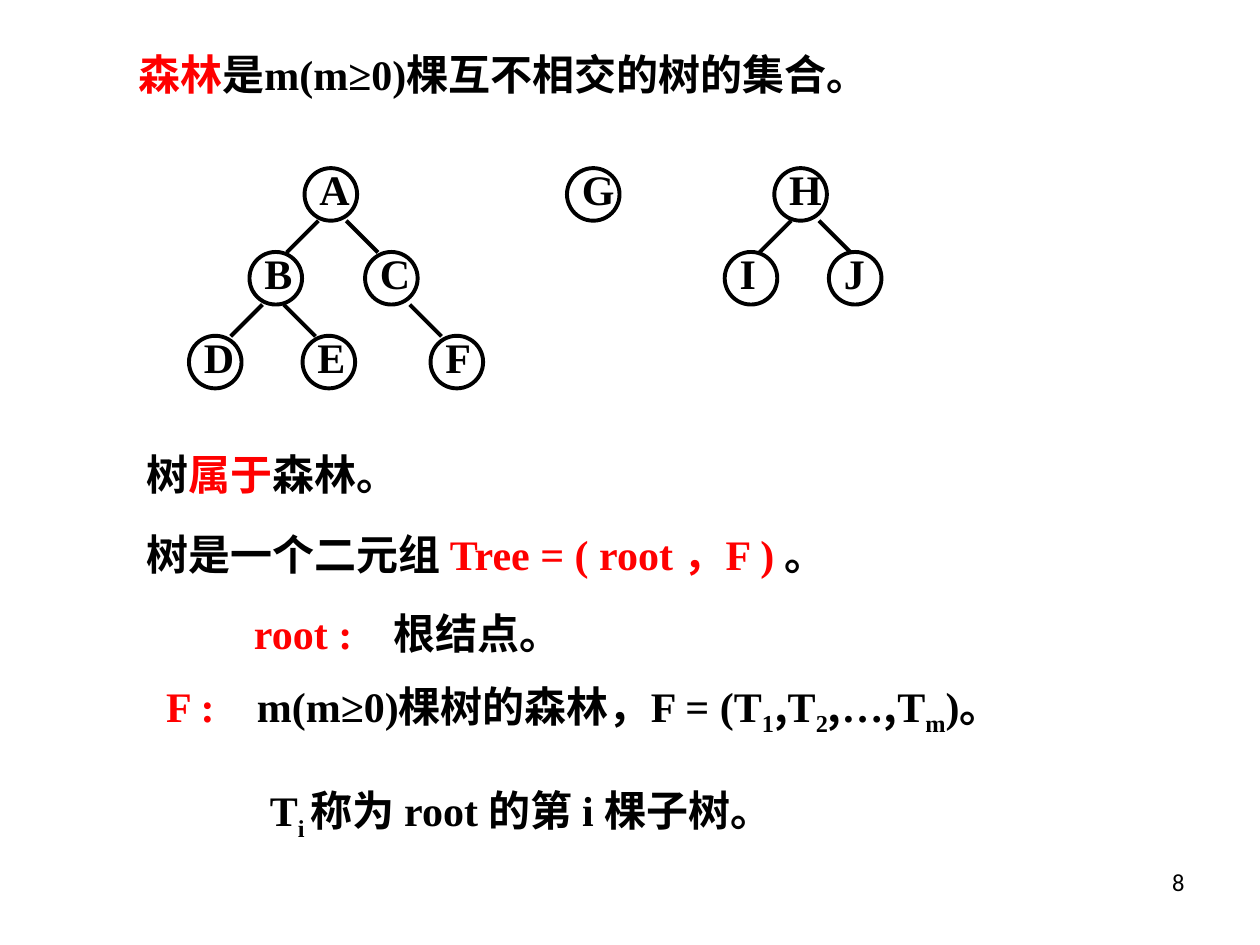
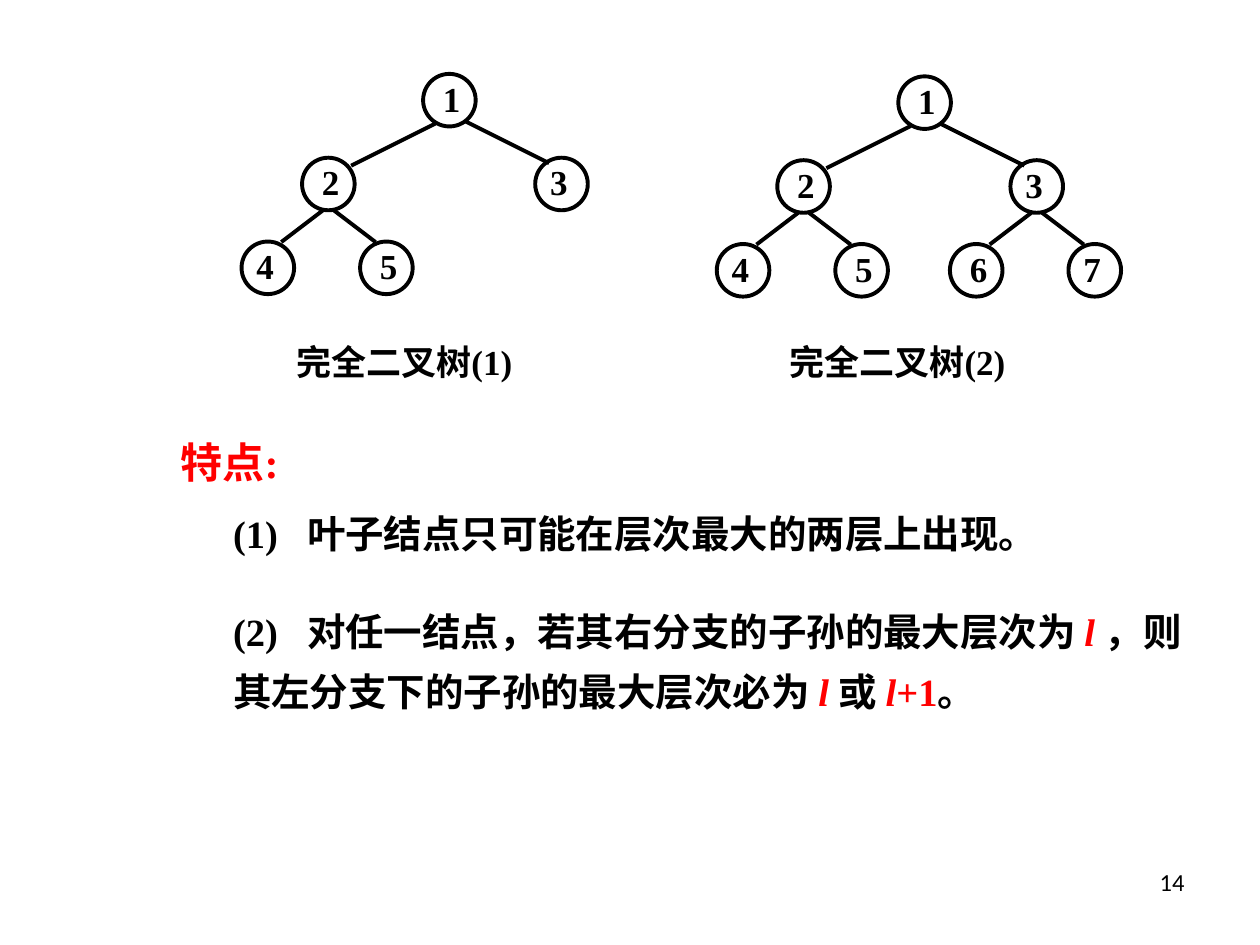
from dataclasses import dataclass, field
from typing import Optional

from lxml.etree import SubElement
from pptx import Presentation
from pptx.dml.color import RGBColor
from pptx.enum.shapes import MSO_CONNECTOR, MSO_SHAPE
from pptx.enum.text import MSO_AUTO_SIZE, PP_ALIGN
from pptx.oxml.ns import qn
from pptx.slide import Slide
from pptx.util import Cm, Pt


@dataclass(frozen=True)
class Theme:
    ink: RGBColor = RGBColor(0, 0, 0)
    accent: RGBColor = RGBColor(255, 0, 0)
    paper: RGBColor = RGBColor(255, 255, 255)
    serif: str = "Times New Roman"
    chinese: str = "Noto Sans CJK SC"
    footer: str = "Calibri"
    body_size: float = 24
    point_size: float = 22
    label_size: float = 20
    footer_size: float = 14
    stroke: float = 2.25


THEME = Theme()
CIRCLE = 1.06  # all plain lengths are centimetres
LEVEL = 1.69


@dataclass(frozen=True)
class Run:
    text: str
    color: RGBColor = THEME.ink
    italic: bool = False
    subscript: bool = False
    font: str = THEME.serif
    bold: bool = True


@dataclass(frozen=True)
class TextLine:
    left: float
    top: float
    width: float
    height: float
    runs: list[Run]
    size: float = THEME.body_size
    align: PP_ALIGN = PP_ALIGN.LEFT
    line_spacing: Optional[float] = None
    tab: Optional[float] = None
    grow: bool = True


@dataclass(frozen=True)
class Node:
    label: str
    left: float
    level: int
    nudge: float = 0


@dataclass(frozen=True)
class Edge:
    left: float
    top: float
    across: float
    down: float


@dataclass(frozen=True)
class Tree:
    """Nodes and edges placed relative to left and top."""
    left: float
    top: float
    nodes: list[Node]
    edges: list[Edge]
    size: float
    label_rise: float
    label_height: float


@dataclass(frozen=True)
class Page:
    number: int
    trees: list[Tree]
    lines: list[TextLine] = field(default_factory=list)


def red(text: str, italic: bool = False) -> Run:
    return Run(text, THEME.accent, italic)


def sub(text: str) -> Run:
    return Run(text, subscript=True)


def add_text(slide: Slide, line: TextLine) -> None:
    box = slide.shapes.add_textbox(Cm(line.left), Cm(line.top), Cm(line.width), Cm(line.height))
    frame = box.text_frame
    frame.word_wrap = True
    frame.auto_size = MSO_AUTO_SIZE.SHAPE_TO_FIT_TEXT if line.grow else MSO_AUTO_SIZE.NONE
    paragraph = frame.paragraphs[0]
    paragraph.alignment = line.align
    if line.line_spacing:
        paragraph.line_spacing = line.line_spacing
    if line.tab:
        tabs = SubElement(paragraph._p.get_or_add_pPr(), qn("a:tabLst"))
        SubElement(tabs, qn("a:tab"), pos=str(Cm(line.tab)), algn="l")
    for part in line.runs:
        run = paragraph.add_run()
        run.text = part.text
        font = run.font
        font.name, font.size = part.font, Pt(line.size)
        font.bold, font.italic = part.bold, part.italic
        font.color.rgb = part.color
        properties = run._r.get_or_add_rPr()
        SubElement(properties, qn("a:ea"), typeface=THEME.chinese)
        if part.subscript:
            properties.set("baseline", "-25000")


def add_node(slide: Slide, tree: Tree, node: Node) -> None:
    left, top = tree.left + node.left, tree.top + node.level * LEVEL
    circle = slide.shapes.add_shape(MSO_SHAPE.OVAL, Cm(left), Cm(top), Cm(CIRCLE), Cm(CIRCLE))
    circle.shadow.inherit = False
    circle.fill.background()
    circle.line.color.rgb = THEME.ink
    circle.line.width = Pt(THEME.stroke)
    add_text(slide, TextLine(left + 0.05 + node.nudge, top - tree.label_rise, 1.48,
                             tree.label_height, [Run(node.label)], tree.size))


def add_edge(slide: Slide, tree: Tree, edge: Edge) -> None:
    left, top = tree.left + edge.left, tree.top + edge.top
    line = slide.shapes.add_connector(MSO_CONNECTOR.STRAIGHT, Cm(left), Cm(top),
                                      Cm(left + edge.across), Cm(top + edge.down))
    line.line.color.rgb = THEME.ink
    line.line.width = Pt(THEME.stroke)
    SubElement(line._element.spPr, qn("a:effectLst"))


def forest() -> Tree:
    nodes = [
        Node("A", 6.14, 0), Node("B", 5.03, 1), Node("C", 7.36, 1),
        Node("D", 3.81, 2), Node("E", 6.1, 2), Node("F", 8.68, 2),
        Node("G", 11.43, 0),
        Node("H", 15.61, 0), Node("I", 14.61, 1), Node("J", 16.71, 1),
    ]
    # start of the branch, level of the parent, side of the child
    branches = [
        (6.42, 0, -1), (6.98, 0, 1), (5.29, 1, -1), (5.72, 1, 1),
        (8.26, 1, 1), (15.95, 0, -1), (16.51, 0, 1),
    ]
    edges = [Edge(left, CIRCLE + level * LEVEL, side * 0.64, 0.64)
             for left, level, side in branches]
    return Tree(0, 3.39, nodes, edges, THEME.body_size, 0.21, 1.27)


def binary_tree(left: float, top: float, full: bool) -> Tree:
    """Complete binary tree; full gives the right child its own children."""
    nudge = 0.1
    nodes = [Node("1", 0, 0, nudge), Node("2", -2.44, 1, nudge), Node("3", 2.26, 1)]
    edges = [Edge(0.25, 1, -1.7, 0.85), Edge(0.84, 0.95, 1.7, 0.85)]
    families = [(-2.44, Node("4", -1.22, 2), Node("5", 1.17, 2, nudge))]
    if full:
        families.append((2.26, Node("6", -1.22, 2, nudge), Node("7", 1.17, 2)))
    for parent, *children in families:
        nodes += [Node(child.label, parent + child.left, child.level, child.nudge)
                  for child in children]
        edges += [Edge(parent + CIRCLE / 2 + side * 0.11, CIRCLE + LEVEL, side * 0.84, 0.64)
                  for side in (-1, 1)]
    return Tree(left, top, nodes, edges, THEME.label_size, 0.06, 1.12)


FOREST_PAGE = Page(8, [forest()], [
    TextLine(2.54, 0.85, 20.53, 1.27, [red("森林"), Run("是m(m≥0)棵互不相交的树的集合。")]),
    TextLine(2.7, 8.92, 17.99, 1.27, [Run("树"), red("属于"), Run("森林。")]),
    TextLine(2.7, 10.52, 17.99, 1.27,
             [Run("树是一个二元组 "), red("Tree = ( root ，F ) "), Run("。")]),
    TextLine(4.87, 12.12, 15.45, 1.27, [red("root :"), Run("\t根结点。")], tab=2.82),
    TextLine(3.1, 13.59, 19.97, 1.42, [
        red("F :"), Run("\tm(m≥0)棵树的森林，F = (T"), sub("1"),
        Run(",", font=THEME.chinese), Run("T"), sub("2"),
        Run(",", font=THEME.chinese), Run("…"), Run(",", font=THEME.chinese),
        Run("T"), sub("m"), Run(")。")], tab=1.83),
    TextLine(5.19, 15.7, 17.88, 1.42, [Run("T"), sub("i "), Run("称为 root 的第 i 棵子树。")]),
])

BINARY_PAGE = Page(14, [binary_tree(8.53, 1.49, False), binary_tree(18.11, 1.54, True)], [
    TextLine(5.72, 6.73, 6.78, 1.12, [Run("完全二叉树(1)")], THEME.label_size),
    TextLine(15.66, 6.73, 5.5, 1.12, [Run("完全二叉树(2)")], THEME.label_size),
    TextLine(3.39, 8.68, 3.81, 1.27, [red("特点:")]),
    TextLine(4.45, 10.16, 18.84, 1.19,
             [Run("(1)\t叶子结点只可能在层次最大的两层上出现。")], THEME.point_size, tab=1.49),
    TextLine(4.45, 11.85, 20.11, 2.69, [
        Run("(2)\t对任一结点，若其右分支的子孙的最大层次为 "), red("l ", True),
        Run("，则其左分支下的子孙的最大层次必为 "), red("l ", True), Run("或 "),
        red("l", True), red("+1"), Run("。")],
        THEME.point_size, line_spacing=1.3, tab=1.49),
])


def add_page(presentation, page: Page) -> None:
    slide = presentation.slides.add_slide(presentation.slide_layouts[6])
    slide.background.fill.solid()
    slide.background.fill.fore_color.rgb = THEME.paper
    number = Run(str(page.number), font=THEME.footer, bold=False)
    add_text(slide, TextLine(18.2, 17.36, 5.93, 1.32, [number], THEME.footer_size,
                             PP_ALIGN.RIGHT, grow=False))
    for line in page.lines:
        add_text(slide, line)
    for tree in page.trees:
        for node in tree.nodes:
            add_node(slide, tree, node)
        for edge in tree.edges:
            add_edge(slide, tree, edge)


def main() -> None:
    presentation = Presentation()
    presentation.slide_width, presentation.slide_height = Cm(25.4), Cm(19.05)
    for page in (FOREST_PAGE, BINARY_PAGE):
        add_page(presentation, page)
    presentation.save("out.pptx")


if __name__ == "__main__":
    main()
